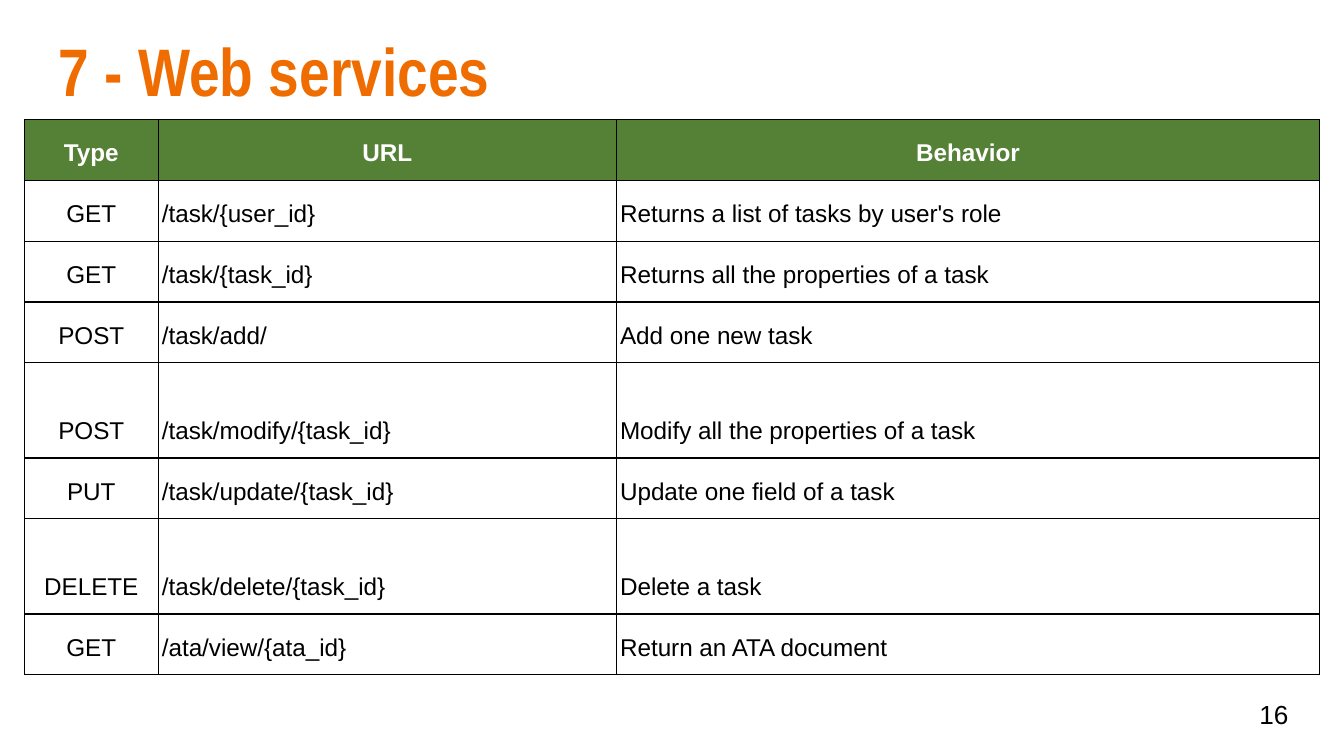
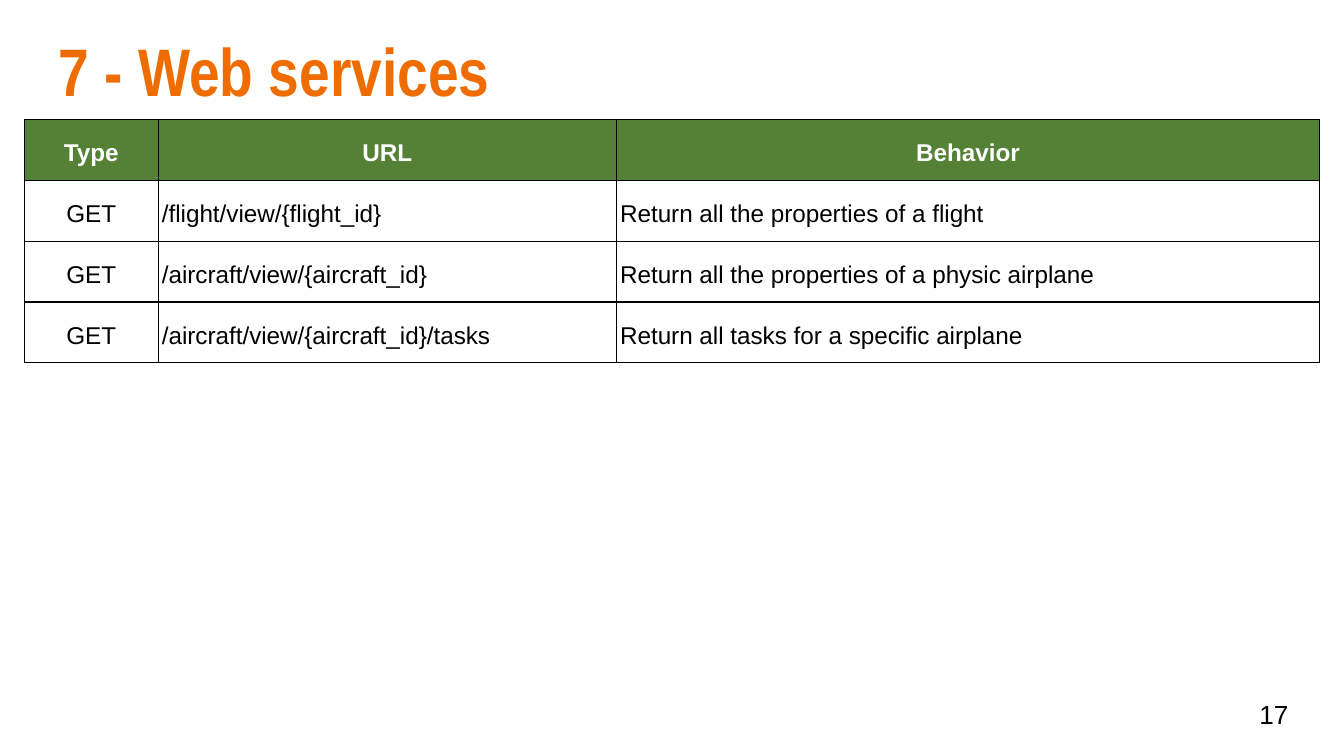
from dataclasses import dataclass

from lxml.etree import SubElement
from pptx import Presentation
from pptx.dml.color import RGBColor
from pptx.enum.text import MSO_ANCHOR, MSO_AUTO_SIZE, PP_ALIGN
from pptx.oxml.ns import qn
from pptx.util import Cm, Pt


@dataclass(frozen=True)
class Theme:
    orange: str = "EF6C00"
    green: str = "548135"
    white: str = "FFFFFF"
    black: str = "000000"
    title_font: str = "Arial Narrow"
    body_font: str = "Arial"
    title_size: int = 36
    cell_size: int = 13
    number_size: int = 14
    border: float = 0.75


theme = Theme()

TITLE = dict(name=theme.title_font, size=Pt(theme.title_size), bold=True)
NUMBER = dict(name=theme.body_font, size=Pt(theme.number_size), bold=False)
HEADER = dict(name=theme.body_font, size=Pt(theme.cell_size), bold=True)
BODY = dict(HEADER, bold=False)
INSETS = dict.fromkeys(
    ("margin_left", "margin_top", "margin_right", "margin_bottom"), Cm(0.25))
FRAME = dict(INSETS, word_wrap=True, auto_size=MSO_AUTO_SIZE.NONE)
CELL = dict(INSETS, margin_left=Cm(0.07), margin_right=Cm(0.07),
            vertical_anchor=MSO_ANCHOR.BOTTOM)

COLUMNS = [("Type", 2.53), ("URL", 8.66), ("Behavior", 13.29)]
ROW, TALL_ROW = 1.15, 1.8
TALL_URLS = {"/task/modify/{task_id}", "/task/delete/{task_id}"}

SLIDES = [
    (16, [
        ("GET", "/task/{user_id}", "Returns a list of tasks by user's role"),
        ("GET", "/task/{task_id}", "Returns all the properties of a task"),
        ("POST", "/task/add/", "Add one new task"),
        ("POST", "/task/modify/{task_id}", "Modify all the properties of a task"),
        ("PUT", "/task/update/{task_id}", "Update one field of a task"),
        ("DELETE", "/task/delete/{task_id}", "Delete a task"),
        ("GET", "/ata/view/{ata_id}", "Return an ATA document"),
    ]),
    (17, [
        ("GET", "/flight/view/{flight_id}", "Return all the properties of a flight"),
        ("GET", "/aircraft/view/{aircraft_id}",
         "Return all the properties of a physic airplane"),
        ("GET", "/aircraft/view/{aircraft_id}/tasks",
         "Return all tasks for a specific airplane"),
    ]),
]


def write(tf, text, font, color, align=PP_ALIGN.LEFT, spacing=1.0):
    p = tf.paragraphs[0]
    p.alignment, p.line_spacing = align, spacing
    r = p.add_run()
    r.text = text
    for name, value in font.items():
        setattr(r.font, name, value)
    r.font.color.rgb = RGBColor.from_string(color)


def add_borders(cell):
    tcPr = cell._tc.get_or_add_tcPr()
    for i, side in enumerate(("lnL", "lnR", "lnT", "lnB")):
        ln = SubElement(tcPr, qn(f"a:{side}"), w=str(Pt(theme.border)))
        fill = SubElement(ln, qn("a:solidFill"))
        SubElement(fill, qn("a:srgbClr"), val=theme.black)
        tcPr.insert(i, ln)


prs = Presentation()
prs.slide_width, prs.slide_height = Cm(25.4), Cm(14.29)

for number, services in SLIDES:
    s = prs.slides.add_slide(prs.slide_layouts[5])

    title = s.shapes.title
    title.left, title.top, title.width, title.height = (
        Cm(0.86), Cm(0.3), Cm(23.67), Cm(1.96))
    page = s.shapes.add_textbox(Cm(23.55), Cm(12.95), Cm(1.52), Cm(1.09))
    for sp, anchor in ((title, MSO_ANCHOR.TOP), (page, MSO_ANCHOR.MIDDLE)):
        for name, value in dict(FRAME, vertical_anchor=anchor).items():
            setattr(sp.text_frame, name, value)
    write(title.text_frame, "7 - Web services", TITLE, theme.orange)
    write(page.text_frame, str(number), NUMBER, theme.black)

    rows = [tuple(name for name, _ in COLUMNS)] + services
    heights = [TALL_ROW if row[1] in TALL_URLS else ROW for row in rows]
    widths = [width for _, width in COLUMNS]
    table = s.shapes.add_table(len(rows), len(COLUMNS), Cm(0.46), Cm(2.26),
                               Cm(sum(widths)), Cm(sum(heights))).table
    table.first_row = table.horz_banding = False
    for column, width in zip(table.columns, widths):
        column.width = Cm(width)

    for i, (row, height) in enumerate(zip(rows, heights)):
        table.rows[i].height = Cm(height)
        for j, text in enumerate(row):
            cell = table.cell(i, j)
            for name, value in CELL.items():
                setattr(cell, name, value)
            header = i == 0
            if header:
                cell.fill.solid()
                cell.fill.fore_color.rgb = RGBColor.from_string(theme.green)
            else:
                cell.fill.background()
            add_borders(cell)
            write(cell.text_frame, text, HEADER if header else BODY,
                  theme.white if header else theme.black,
                  PP_ALIGN.CENTER if header or j == 0 else PP_ALIGN.LEFT, 1.15)

prs.save("out.pptx")
